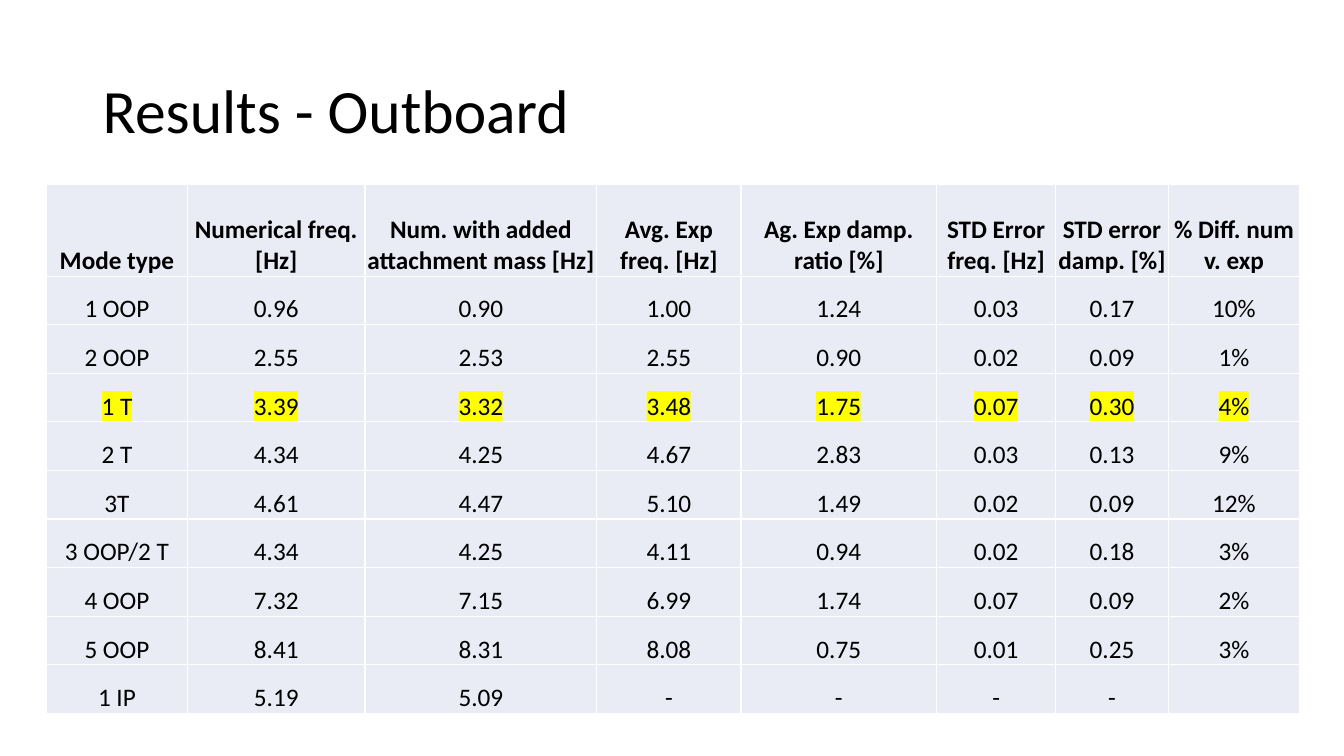
from dataclasses import dataclass

from lxml import etree
from pptx import Presentation, util as u
from pptx.dml import color
from pptx.enum import text
from pptx.oxml import ns


@dataclass(frozen=True)
class Theme:
    font: str = "Calibri"
    ink: str = "000000"
    cell_fill: str = "E9EBF5"
    border: str = "FFFFFF"
    highlight: str = "FFFF00"
    title_size: int = 44
    table_size: int = 18
    border_width: int = 1


@dataclass(frozen=True)
class Column:
    heading: str
    width: float


@dataclass(frozen=True)
class Mode:
    values: tuple[str, ...]
    highlighted: bool = False


THEME = Theme()
HEADER_HEIGHT = 0.91
TABLE_HEIGHT = 5.25

COLUMNS = (
    Column("Mode type", 1.4),
    Column("Numerical freq. [Hz]", 1.76),
    Column("Num. with added attachment mass [Hz]", 2.3),
    Column("Avg. Exp freq. [Hz]", 1.43),
    Column("Ag. Exp damp. ratio [%]", 1.94),
    Column("STD Error freq. [Hz]", 1.18),
    Column("STD error damp. [%]", 1.12),
    Column("% Diff. num v. exp", 1.3),
)

MODES = (
    Mode(("1 OOP", "0.96", "0.90", "1.00", "1.24", "0.03", "0.17", "10%")),
    Mode(("2 OOP", "2.55", "2.53", "2.55", "0.90", "0.02", "0.09", "1%")),
    Mode(("1 T", "3.39", "3.32", "3.48", "1.75", "0.07", "0.30", "4%"), highlighted=True),
    Mode(("2 T", "4.34", "4.25", "4.67", "2.83", "0.03", "0.13", "9%")),
    Mode(("3T", "4.61", "4.47", "5.10", "1.49", "0.02", "0.09", "12%")),
    Mode(("3 OOP/2 T", "4.34", "4.25", "4.11", "0.94", "0.02", "0.18", "3%")),
    Mode(("4 OOP", "7.32", "7.15", "6.99", "1.74", "0.07", "0.09", "2%")),
    Mode(("5 OOP", "8.41", "8.31", "8.08", "0.75", "0.01", "0.25", "3%")),
    Mode(("1 IP", "5.19", "5.09", "-", "-", "-", "-", "")),
)


def apply_format(target, values: dict) -> None:
    for name, value in values.items():
        setattr(target, name, value)


def add_run(paragraph, content: str, size: int, bold: bool = False):
    run = paragraph.add_run()
    run.text = content
    apply_format(run.font, {"name": THEME.font, "size": u.Pt(size), "bold": bold})
    run.font.color.rgb = color.RGBColor.from_string(THEME.ink)
    return run


def highlight_run(run) -> None:
    highlight = etree.Element(ns.qn("a:highlight"))
    etree.SubElement(highlight, ns.qn("a:srgbClr"), val=THEME.highlight)
    properties = run.font._element
    properties.find(ns.qn("a:solidFill")).addnext(highlight)


def add_borders(cell) -> None:
    properties = cell._tc.get_or_add_tcPr()
    for side in ("lnL", "lnR", "lnT", "lnB"):
        line = etree.SubElement(properties, ns.qn(f"a:{side}"), w=str(u.Pt(THEME.border_width)))
        fill = etree.SubElement(line, ns.qn("a:solidFill"))
        etree.SubElement(fill, ns.qn("a:srgbClr"), val=THEME.border)


def fill_cell(cell, content: str, bold: bool, highlighted: bool) -> None:
    add_borders(cell)
    cell.fill.solid()
    cell.fill.fore_color.rgb = color.RGBColor.from_string(THEME.cell_fill)
    apply_format(cell, {
        "margin_left": u.Inches(0.01),
        "margin_right": u.Inches(0.01),
        "margin_top": u.Inches(0.01),
        "margin_bottom": u.Inches(0),
        "vertical_anchor": text.MSO_ANCHOR.BOTTOM,
    })
    paragraph = cell.text_frame.paragraphs[0]
    paragraph.alignment = text.PP_ALIGN.CENTER
    if content:
        run = add_run(paragraph, content, THEME.table_size, bold)
        if highlighted:
            highlight_run(run)


def add_title(slide, content: str) -> None:
    shape = slide.shapes.add_textbox(u.Inches(0.92), u.Inches(0.4), u.Inches(11.5), u.Inches(1.45))
    apply_format(shape.text_frame, {
        "word_wrap": True,
        "vertical_anchor": text.MSO_ANCHOR.MIDDLE,
    })
    paragraph = shape.text_frame.paragraphs[0]
    paragraph.line_spacing = 0.9
    add_run(paragraph, content, THEME.title_size)


def add_results_table(slide) -> None:
    width = sum(column.width for column in COLUMNS)
    frame = slide.shapes.add_table(
        len(MODES) + 1, len(COLUMNS),
        u.Inches(0.46), u.Inches(1.83), u.Inches(width), u.Inches(TABLE_HEIGHT),
    )
    table = frame.table
    table.horz_banding = False
    for table_column, column in zip(table.columns, COLUMNS):
        table_column.width = u.Inches(column.width)
    mode_height = (TABLE_HEIGHT - HEADER_HEIGHT) / len(MODES)
    header = Mode(tuple(column.heading for column in COLUMNS))
    for index, (row, mode) in enumerate(zip(table.rows, (header, *MODES))):
        row.height = u.Inches(mode_height if index else HEADER_HEIGHT)
        for cell, value in zip(row.cells, mode.values):
            fill_cell(cell, value, bold=index == 0, highlighted=mode.highlighted)


def main() -> None:
    presentation = Presentation()
    apply_format(presentation, {"slide_width": u.Inches(13.33), "slide_height": u.Inches(7.5)})
    slide = presentation.slides.add_slide(presentation.slide_layouts[6])
    add_title(slide, "Results - Outboard")
    add_results_table(slide)
    presentation.save("out.pptx")


if __name__ == "__main__":
    main()
